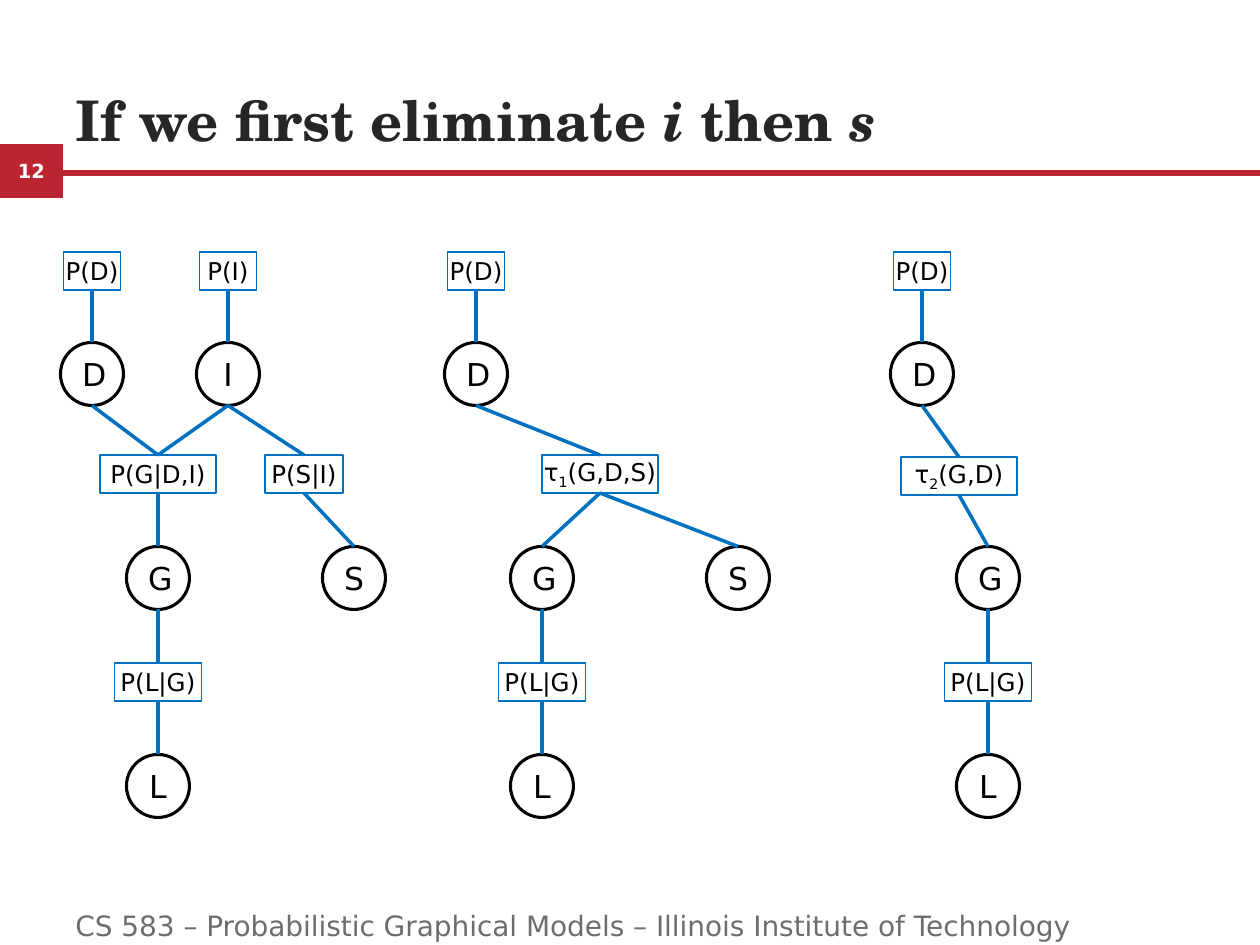
from lxml.etree import SubElement
from pptx import Presentation
from pptx.dml.color import RGBColor
from pptx.enum.shapes import MSO_CONNECTOR, MSO_SHAPE
from pptx.enum.text import MSO_ANCHOR, PP_ALIGN
from pptx.oxml.ns import qn
from pptx.util import Emu, Pt

RED = RGBColor(0xBB, 0x25, 0x32)
BLUE = RGBColor(0x00, 0x70, 0xC0)
BLACK = RGBColor(0x00, 0x00, 0x00)
WHITE = RGBColor(0xFF, 0xFF, 0xFF)
TITLE_INK = RGBColor(0x26, 0x26, 0x26)
FOOTER_INK = RGBColor(0x6D, 0x6D, 0x6D)
SANS, SERIF = "DejaVu Sans", "TeX Gyre Schola"

SLIDE_W, SLIDE_H = 1260, 945
CIRCLE, FACTOR_H = 63, 38  # node diameter, factor box height

# Rows and columns, measured from the top left of a graph
PRIOR_Y, PARENT_Y, MID_Y, CHILD_Y, LEAF_FACTOR_Y, LEAF_Y = 19, 122, 222, 326, 430, 534
D_X, G_X, I_X, S_X = 32, 98, 168, 294

# Parts every graph has: text, centre x, centre y, width (None for a circle)
COMMON = {
    "G": ("G", G_X, CHILD_Y, None),
    "D": ("D", D_X, PARENT_Y, None),
    "L": ("L", G_X, LEAF_Y, None),
    "P(L|G)": ("P(L|G)", G_X, LEAF_FACTOR_Y, 87),
    "P(D)": ("P(D)", D_X, PRIOR_Y, 57),
}
COMMON_EDGES = [("P(D)", "D"), ("G", "P(L|G)"), ("P(L|G)", "L")]
SUB = {"baseline": "-25000"}

# Left edge, further parts, further edges (upper end first)
GRAPHS = [
    (60,
     {"I": ("I", I_X, PARENT_Y, None),
      "S": ("S", S_X, CHILD_Y, None),
      "P(G|D,I)": ("P(G|D,I)", G_X, MID_Y, 116),
      "P(S|I)": ("P(S|I)", 244, MID_Y, 78),
      "P(I)": ("P(I)", I_X, PRIOR_Y, 57)},
     [("D", "P(G|D,I)"), ("I", "P(G|D,I)"), ("P(G|D,I)", "G"),
      ("P(I)", "I"), ("I", "P(S|I)"), ("P(S|I)", "S")]),
    (444,
     {"S": ("S", S_X, CHILD_Y, None),
      "tau": ([("τ", {}), ("1", SUB), ("(G,D,S)", {})], 156, MID_Y, 116)},
     [("D", "tau"), ("tau", "G"), ("tau", "S")]),
    (890,
     {"tau": ([("τ", {}), ("2", SUB), ("(G,D)", {})], 69, MID_Y + 2, 116)},
     [("D", "tau"), ("tau", "G")]),
]


def px(n):
    return Emu(round(n * 914400 / 126))


def write(sp, text, *, size, color=BLACK, font=SANS, bold=False,
          align=PP_ALIGN.CENTER, anchor=MSO_ANCHOR.MIDDLE, side=None):
    """Fill sp with a string, or with (text, run attributes) pairs."""
    tf = sp.text_frame
    tf.word_wrap = True
    tf.vertical_anchor = anchor
    if side is not None:
        tf.margin_left = tf.margin_right = px(side)
    p = tf.paragraphs[0]
    p.alignment = align
    for part, attributes in [(text, {})] if isinstance(text, str) else text:
        r = p.add_run()
        r.text = part
        r.font.size, r.font.name, r.font.bold = Pt(size), font, bold
        r.font.color.rgb = color
        for key, value in attributes.items():
            r.font._element.set(key, value)


def add_box(shapes, kind, x, y, w, h, fill=None, line=None, weight=1):
    sp = shapes.add_shape(kind, px(x), px(y), px(w), px(h))
    sp.shadow.inherit = False
    if fill is None:
        sp.fill.background()
    else:
        sp.fill.solid()
        sp.fill.fore_color.rgb = fill
    if line is None:
        sp.line.fill.background()
    else:
        sp.line.color.rgb = line
        sp.line.width = Pt(weight)
    return sp


def add_edge(shapes, x1, y1, x2, y2):
    cx = shapes.add_connector(MSO_CONNECTOR.STRAIGHT, px(x1), px(y1), px(x2), px(y2))
    cx.line.color.rgb = BLUE
    cx.line.width = Pt(2)
    SubElement(cx._element.spPr, qn("a:effectLst"))


def add_header(s, x, y, w, h):
    # Slide number and rule
    tab = add_box(s.shapes, MSO_SHAPE.RECTANGLE, x, y + 96, 63, 54, fill=RED)
    write(tab, "12", size=11.1, color=WHITE, bold=True)
    add_box(s.shapes, MSO_SHAPE.RECTANGLE, x + 63, y + 122, w - 63, 6, fill=RED)
    # Title
    title = s.shapes.add_textbox(px(x + 63), px(y), px(w - 126), px(h))
    italic = {"i": "1"}
    write(title, [("If we first eliminate ", {}), ("i ", italic), ("then ", {}), ("s", italic)],
          size=32, color=TITLE_INK, font=SERIF, bold=True,
          align=PP_ALIGN.LEFT, anchor=MSO_ANCHOR.BOTTOM)


def add_footer(s, x, y, w, h):
    footer = s.shapes.add_textbox(px(x), px(y), px(w), px(h))
    write(footer, "CS 583 – Probabilistic Graphical Models – Illinois Institute of Technology",
          size=16, color=FOOTER_INK, align=PP_ALIGN.LEFT, anchor=MSO_ANCHOR.TOP)


def add_graph(s, x, y, parts, edges):
    shapes = s.shapes.add_group_shape().shapes
    # Variables as circles, factors as boxes
    for text, cx, cy, w in parts.values():
        if w is None:
            sp = add_box(shapes, MSO_SHAPE.OVAL, x + cx - CIRCLE / 2, y + cy - CIRCLE / 2,
                         CIRCLE, CIRCLE, fill=WHITE, line=BLACK, weight=1.75)
            write(sp, text, size=18)
        else:
            sp = add_box(shapes, MSO_SHAPE.RECTANGLE, x + cx - w / 2, y + cy - FACTOR_H / 2,
                         w, FACTOR_H, line=BLUE)
            write(sp, text, size=14, side=0)
    # Edges run from the bottom of the upper part to the top of the lower one
    for upper, lower in edges:
        (_, x1, y1, w1), (_, x2, y2, w2) = parts[upper], parts[lower]
        drop1, drop2 = ((FACTOR_H if w else CIRCLE) / 2 for w in (w1, w2))
        add_edge(shapes, x + x1, y + y1 + drop1, x + x2, y + y2 - drop2)


def main():
    prs = Presentation()
    prs.slide_width, prs.slide_height = px(SLIDE_W), px(SLIDE_H)
    s = prs.slides.add_slide(prs.slide_layouts[6])
    add_header(s, 0, 48, SLIDE_W, 111)
    add_footer(s, 63, 902, 1187, 42)
    for left, parts, edges in GRAPHS:
        add_graph(s, left, 252, {**COMMON, **parts}, COMMON_EDGES + edges)
    prs.save("out.pptx")


if __name__ == "__main__":
    main()
